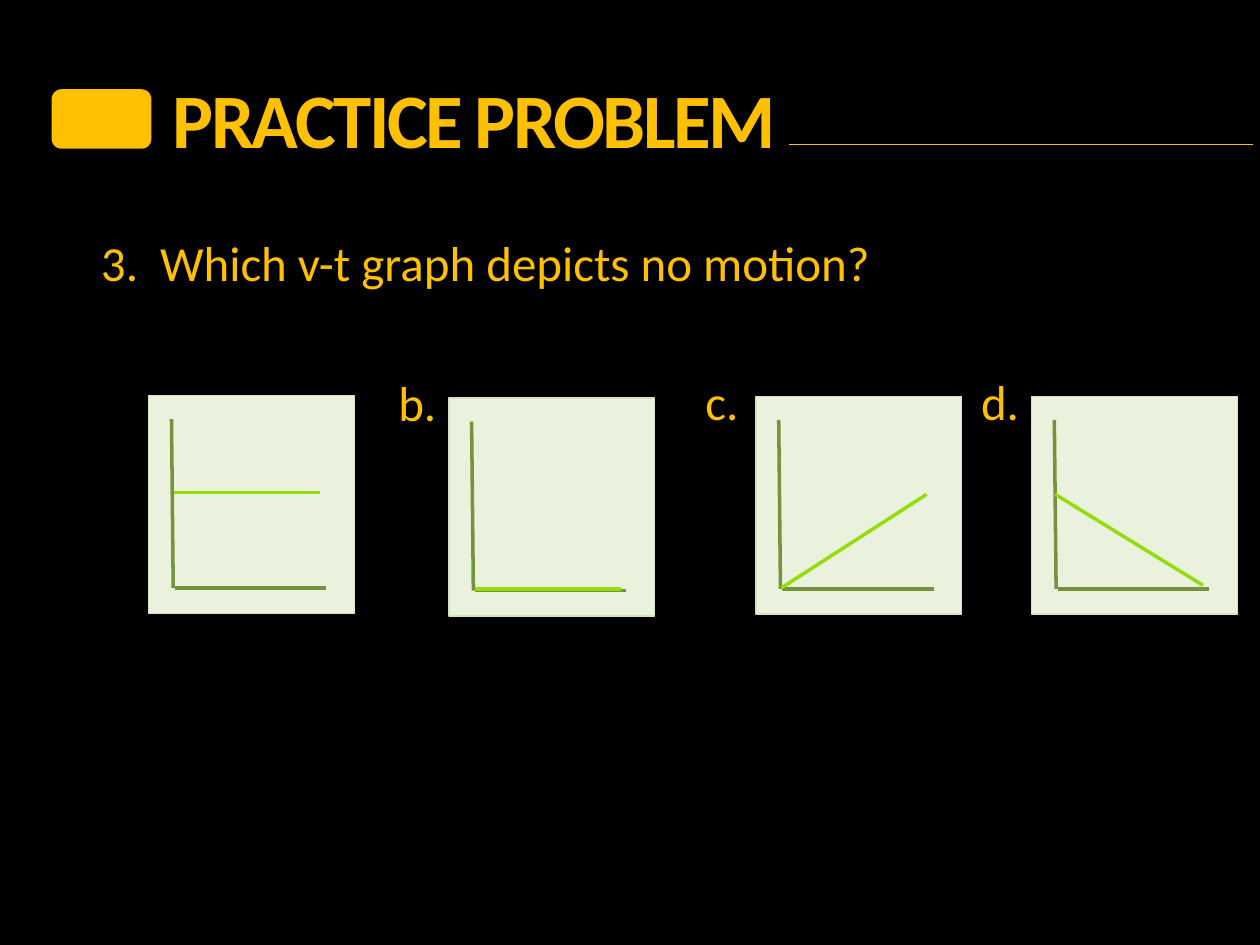
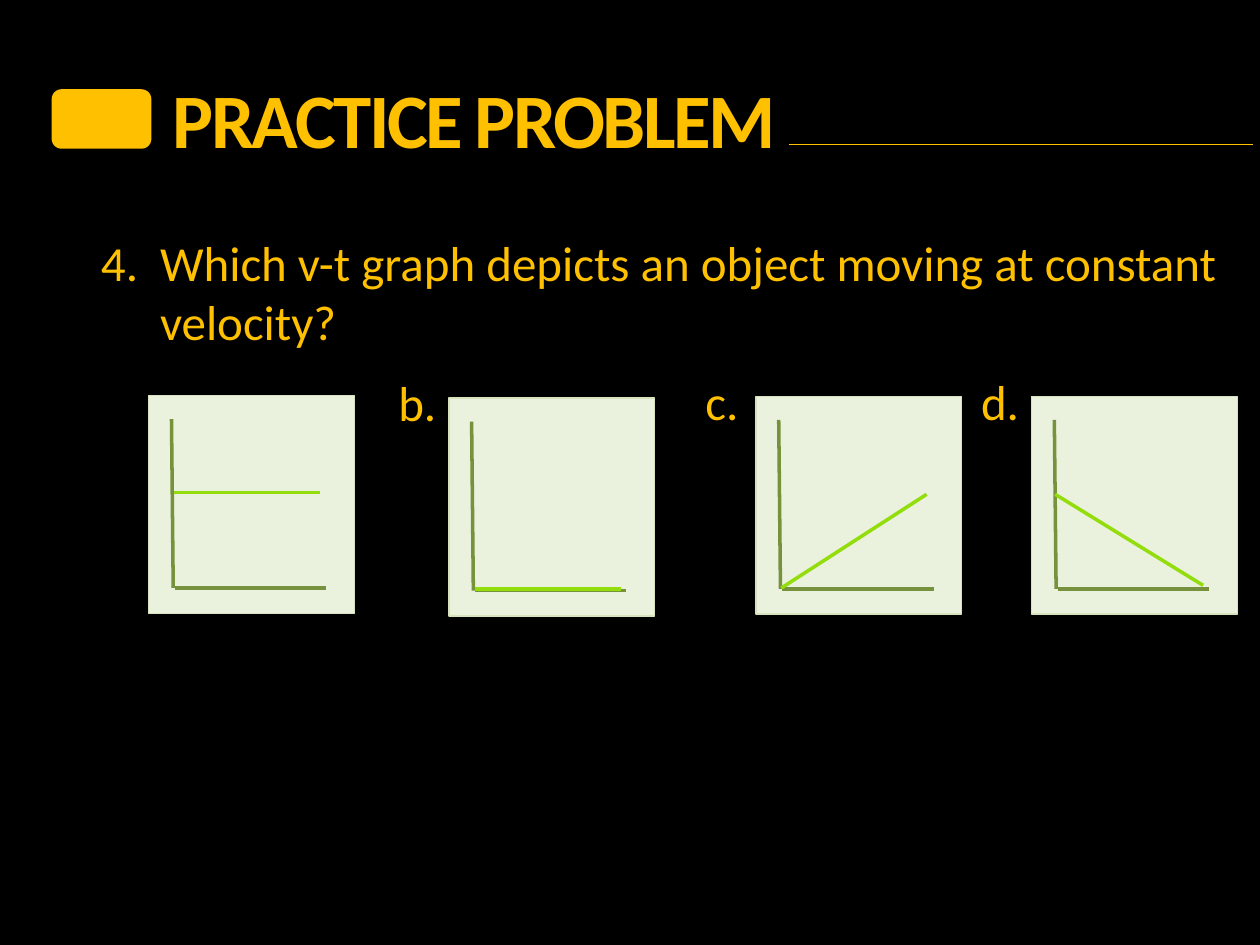
"""Build two practice-problem slides about velocity-time graphs."""
from typing import NamedTuple

from lxml import etree
from pptx import Presentation
from pptx.dml.color import RGBColor
from pptx.enum.shapes import MSO_CONNECTOR, MSO_SHAPE
from pptx.enum.text import MSO_ANCHOR, MSO_AUTO_SIZE, PP_ALIGN
from pptx.oxml.ns import qn
from pptx.util import Pt

STRAIGHT = MSO_CONNECTOR.STRAIGHT
RECTANGLE = MSO_SHAPE.RECTANGLE
ROUNDED = MSO_SHAPE.ROUNDED_RECTANGLE
TOP = MSO_ANCHOR.TOP
LEFT = PP_ALIGN.LEFT
NO_AUTOFIT = MSO_AUTO_SIZE.NONE

FONT = "Calibri"
BLACK = "000000"
GOLD = "FFC000"
PANEL_FILL = "EAF1DD"
PANEL_EDGE = "D6E3BC"
AXIS = "76923C"
CURVE = "93DD0D"
PANEL_WIDTH, PANEL_HEIGHT = 117.5, 124.5
LABEL_DX, LABEL_DY = -36, -18
NUMBER_INDENT = 33.75


class Segment(NamedTuple):
    x1: float
    y1: float
    x2: float
    y2: float


class Graph(NamedTuple):
    label: str
    left: float
    top: float
    curve: Segment


class Problem(NamedTuple):
    number: int
    question: str


AXES = (Segment(13, 13.5, 14, 110), Segment(15, 110, 101.5, 110))
TITLE_RULE = Segment(450.75, 82.75, 715.75, 82.75)
GRAPHS = (
    Graph("", 85, 226, Segment(14.5, 55.5, 98, 55.5)),
    Graph("b.", 256.5, 227.5, Segment(15, 109, 98.5, 109)),
    Graph("c.", 432, 226.5, Segment(14.5, 109.5, 97.5, 56)),
    Graph("d.", 589.5, 226.5, Segment(13.5, 56, 98, 108)),
)
PROBLEMS = (
    Problem(3, "Which v-t graph depicts no motion?"),
    Problem(4, "Which v-t graph depicts an object moving at constant velocity?"),
)


def color(hex_code: str) -> RGBColor:
    return RGBColor.from_string(hex_code)


def place(shape, left: float, top: float, width: float, height: float) -> None:
    shape.left, shape.top = Pt(left), Pt(top)
    shape.width, shape.height = Pt(width), Pt(height)


def write(shape, text: str, size: float, bold: bool = False):
    frame = shape.text_frame
    frame.word_wrap = True
    frame.auto_size = NO_AUTOFIT
    frame.vertical_anchor = TOP
    paragraph = frame.paragraphs[0]
    paragraph.text = text
    paragraph.alignment = LEFT
    paragraph.space_before = Pt(0)
    font = paragraph.font
    font.name, font.size, font.bold = FONT, Pt(size), bold
    font.color.rgb = color(GOLD)
    return paragraph


def number_paragraph(paragraph, number: int) -> None:
    properties = paragraph._p.get_or_add_pPr()
    properties.set("marL", str(Pt(NUMBER_INDENT)))
    properties.set("indent", str(-Pt(NUMBER_INDENT)))
    run_defaults = properties.find(qn("a:defRPr"))
    bullet_font = etree.Element(qn("a:buFont"), typeface=FONT)
    numbering = etree.Element(qn("a:buAutoNum"), type="arabicPeriod", startAt=str(number))
    run_defaults.addprevious(bullet_font)
    run_defaults.addprevious(numbering)


def draw_line(slide, line: Segment, hex_code: str, weight: float,
              dx: float = 0, dy: float = 0) -> None:
    connector = slide.shapes.add_connector(
        STRAIGHT, Pt(line.x1 + dx), Pt(line.y1 + dy), Pt(line.x2 + dx), Pt(line.y2 + dy))
    connector.line.color.rgb = color(hex_code)
    connector.line.width = Pt(weight)
    etree.SubElement(connector._element.spPr, qn("a:effectLst"))


def draw_box(slide, preset, left: float, top: float, width: float, height: float,
             fill: str, edge: str | None = None) -> None:
    box = slide.shapes.add_shape(preset, Pt(left), Pt(top), Pt(width), Pt(height))
    box.shadow.inherit = False
    box.fill.solid()
    box.fill.fore_color.rgb = color(fill)
    if edge:
        box.line.color.rgb = color(edge)
        box.line.width = Pt(0.75)
    else:
        box.line.fill.background()


def draw_heading(slide) -> None:
    title = slide.shapes.title
    place(title, 98.75, 37.5, 617, 60.5)
    heading = write(title, "PRACTICE PROBLEM", 44, bold=True)
    title.text_frame.margin_left = 0
    heading.runs[0]._r.get_or_add_rPr().set("spc", "-150")
    draw_line(slide, TITLE_RULE, GOLD, 0.75)
    draw_box(slide, ROUNDED, 29.5, 51, 57, 34, GOLD)


def draw_graph(slide, graph: Graph) -> None:
    if graph.label:
        label = slide.shapes.add_textbox(
            Pt(graph.left + LABEL_DX), Pt(graph.top + LABEL_DY), Pt(46), Pt(41))
        write(label, graph.label, 28)
    draw_box(slide, RECTANGLE, graph.left, graph.top, PANEL_WIDTH, PANEL_HEIGHT,
             PANEL_FILL, PANEL_EDGE)
    for axis in AXES:
        draw_line(slide, axis, AXIS, 2, graph.left, graph.top)
    draw_line(slide, graph.curve, CURVE, 2, graph.left, graph.top)


def add_problem(presentation, problem: Problem) -> None:
    slide = presentation.slides.add_slide(presentation.slide_layouts[1])
    draw_heading(slide)
    question = slide.placeholders[1]
    place(question, 50.5, 129.5, 652.5, 75)
    number_paragraph(write(question, problem.question, 28), problem.number)
    for graph in GRAPHS:
        draw_graph(slide, graph)


def main() -> None:
    presentation = Presentation()
    presentation.slide_width, presentation.slide_height = Pt(720), Pt(540)
    backdrop = presentation.slide_master.background.fill
    backdrop.solid()
    backdrop.fore_color.rgb = color(BLACK)
    for problem in PROBLEMS:
        add_problem(presentation, problem)
    presentation.save("out.pptx")


if __name__ == "__main__":
    main()
